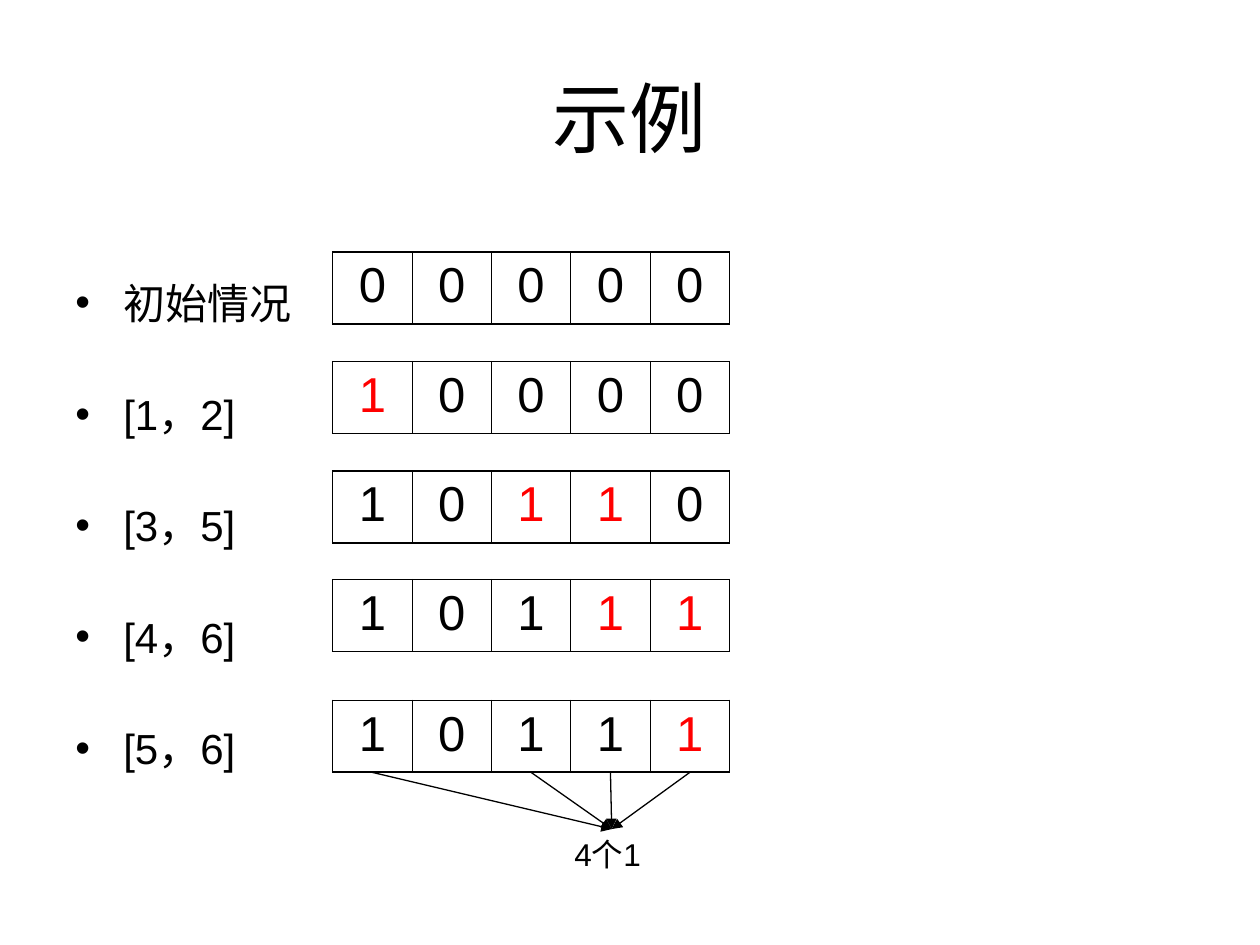
from lxml.etree import SubElement
from pptx import Presentation
from pptx.dml.color import RGBColor
from pptx.enum.shapes import MSO_CONNECTOR as Connector
from pptx.enum.text import MSO_ANCHOR as Anchor, MSO_AUTO_SIZE as AutoSize, PP_ALIGN as Align
from pptx.oxml.ns import qn
from pptx.util import Inches, Pt

BLACK = RGBColor(0x00, 0x00, 0x00)
RED = RGBColor(0xFF, 0x00, 0x00)

# Grid of the bit arrays
LEFT, CELL_WIDTH, CELL_HEIGHT = 2.64, 0.63, 0.57
OUTER, INNER = Pt(1.08), Pt(0.45)

# Step label, top of its array, bits, positions changed in this step
STEPS = [
    ("初始情况", 2.00, "00000", ()),
    ("[1，2]", 2.87, "10000", (0,)),
    ("[3，5]", 3.74, "10110", (2, 3)),
    ("[4，6]", 4.60, "10111", (3, 4)),
    ("[5，6]", 5.56, "10111", (4,)),
]


def add_span(para, text, size, color=BLACK):
    span = para.add_run()
    span.text = text
    span.font.name = "Arial"
    span.font.size = Pt(size)
    span.font.color.rgb = color


def add_text_box(left, top, width, height):
    box = page.shapes.add_textbox(Inches(left), Inches(top), Inches(width), Inches(height))
    box.text_frame.word_wrap = True
    return box


deck = Presentation()
deck.slide_width, deck.slide_height = Inches(10), Inches(7.5)
page = deck.slides.add_slide(deck.slide_layouts[6])

# Title
title = add_text_box(0.5, 0.3, 9, 1.25).text_frame
title.vertical_anchor = Anchor.MIDDLE
title.paragraphs[0].alignment = Align.CENTER
add_span(title.paragraphs[0], "示例", 44)

# Bulleted step labels
body = add_text_box(0.5, 1.75, 4.42, 4.95).text_frame
for number, (label, *_) in enumerate(STEPS):
    para = body.add_paragraph() if number else body.paragraphs[0]
    para.line_spacing = 2.0
    para.space_before = Pt(6)
    props = para._p.get_or_add_pPr()
    props.set("marL", str(Inches(0.38)))
    props.set("indent", str(-Inches(0.38)))
    SubElement(props, qn("a:buFont"), typeface="Arial")
    SubElement(props, qn("a:buChar"), char="•")
    add_span(para, label, 24)

# Bit arrays, one table per step
for _, top, bits, changed in STEPS:
    frame = page.shapes.add_table(1, len(bits), Inches(LEFT), Inches(top),
                                  Inches(CELL_WIDTH * len(bits)), Inches(CELL_HEIGHT))
    table = frame.table
    table.first_row = table.horz_banding = False
    for column, bit in enumerate(bits):
        cell = table.cell(0, column)
        para = cell.text_frame.paragraphs[0]
        para.alignment = Align.CENTER
        para.space_before = Pt(7)
        add_span(para, bit, 28, RED if column in changed else BLACK)
        widths = {
            "a:lnL": OUTER if column == 0 else INNER,
            "a:lnR": OUTER if column == len(bits) - 1 else INNER,
            "a:lnT": OUTER,
            "a:lnB": OUTER,
        }
        cell_props = cell._tc.get_or_add_tcPr()
        for side, width in widths.items():
            border = SubElement(cell_props, qn(side), w=str(width))
            fill = SubElement(border, qn("a:solidFill"))
            SubElement(fill, qn("a:srgbClr"), val=str(BLACK))
        cell.fill.background()

# Count of ones below the last array
count = add_text_box(4.46, 6.58, 0.79, 0.7)
count.text_frame.auto_size = AutoSize.SHAPE_TO_FIT_TEXT
count.text_frame.paragraphs[0].space_before = Pt(11.2)
add_span(count.text_frame.paragraphs[0], "4个1", 18)

# Arrows from each one to the count
_, last_top, last_bits, _ = STEPS[-1]
for column, bit in enumerate(last_bits):
    if bit == "0":
        continue
    start_x = Inches(LEFT + (column + 0.5) * CELL_WIDTH)
    arrow = page.shapes.add_connector(Connector.STRAIGHT, start_x,
                                      Inches(last_top + CELL_HEIGHT),
                                      Inches(4.85), Inches(6.58))
    arrow.end_connect(count, 0)
    arrow.line.color.rgb = BLACK
    arrow.line.width = Pt(0.75)
    SubElement(arrow.line._get_or_add_ln(), qn("a:tailEnd"), type="triangle")
    SubElement(arrow._element.spPr, qn("a:effectLst"))

deck.save("out.pptx")
